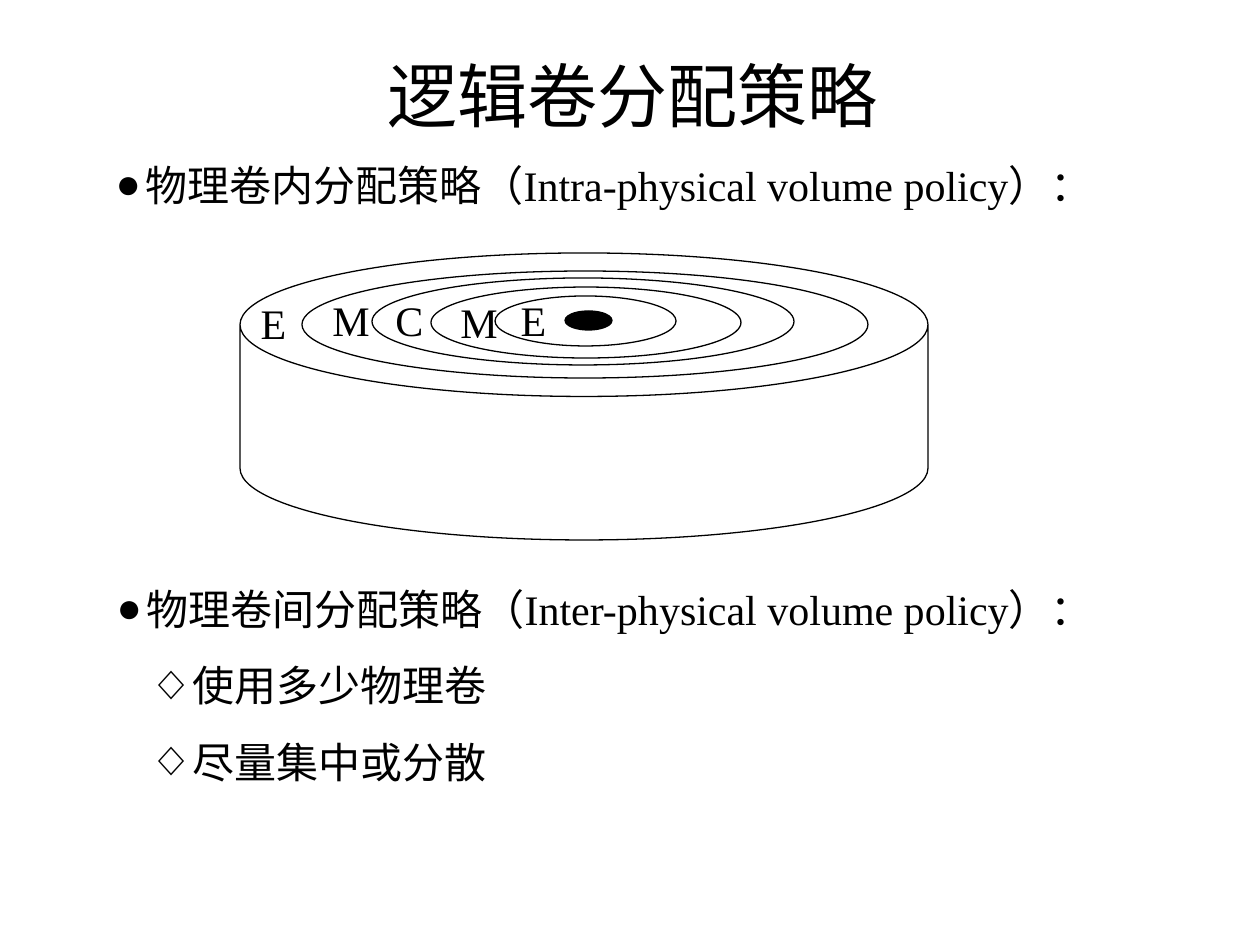
"""Build a slide on logical volume allocation policies."""
from lxml.etree import SubElement
from pptx import Presentation
from pptx.dml.color import RGBColor
from pptx.enum.shapes import MSO_SHAPE as Shape
from pptx.enum.text import MSO_ANCHOR as Anchor, MSO_AUTO_SIZE as AutoSize, PP_ALIGN as Align
from pptx.oxml.ns import qn
from pptx.util import Emu, Inches, Pt

BLACK = RGBColor(0, 0, 0)
WHITE = RGBColor(255, 255, 255)
FONT = "Times New Roman"
PX_PER_INCH = 126
BULLETS = [("●", 30, 30), ("◇", 69, 35)]
LIST_RIGHT_MARGIN = 50

INTRA_POLICY = [("物理卷内分配策略（Intra-physical volume policy）：", 0)]
INTER_POLICY = [
    ("物理卷间分配策略（Inter-physical volume policy）：", 0),
    ("使用多少物理卷", 1),
    ("尽量集中或分散", 1),
]
DISK = (240, 253, 688, 287)
HUB = (565, 311, 47, 19)
RINGS = [
    (302, 271, 566, 107),
    (372, 278, 422, 87),
    (431, 287, 310, 71),
    (495, 296, 181, 50),
]
REGIONS = [("E", 248, 291), ("M", 320, 288), ("C", 383, 288), ("M", 448, 290), ("E", 508, 288)]


def px(length):
    return Emu(round(length * Inches(1) / PX_PER_INCH))


def place(shape, box):
    shape.left, shape.top, shape.width, shape.height = map(px, box)


def style_text(paragraph, size):
    font = paragraph.font
    font.name, font.size, font.color.rgb = FONT, Pt(size), BLACK


def set_title(title, text, box):
    place(title, box)
    frame = title.text_frame
    frame.text = text
    frame.auto_size = AutoSize.NONE
    frame.vertical_anchor = Anchor.MIDDLE
    paragraph = frame.paragraphs[0]
    paragraph.alignment = Align.CENTER
    style_text(paragraph, 40)


def add_bullet(paragraph, level):
    mark, margin, hang = BULLETS[level]
    properties = paragraph._p.get_or_add_pPr()
    properties.set("marL", str(px(margin)))
    properties.set("indent", str(-px(hang)))
    SubElement(properties, qn("a:buFont"), typeface=FONT)
    SubElement(properties, qn("a:buChar"), char=mark)


def set_list(body, items, box):
    place(body, box)
    frame = body.text_frame
    frame.auto_size = AutoSize.NONE
    frame.margin_right = px(LIST_RIGHT_MARGIN)
    frame.text = "\n".join(text for text, _ in items)
    for index, (paragraph, (_, level)) in enumerate(zip(frame.paragraphs, items)):
        paragraph.level = level
        add_bullet(paragraph, level)
        paragraph.space_before = Pt(15 if index else 0)
        style_text(paragraph, 24)


def add_outline(slide, kind, box, fill=None):
    shape = slide.shapes.add_shape(kind, *map(px, box))
    shape.shadow.inherit = False
    if fill is None:
        shape.fill.background()
    else:
        shape.fill.solid()
        shape.fill.fore_color.rgb = fill
    shape.line.color.rgb = BLACK
    shape.line.width = Pt(0.75)
    return shape


def add_region_label(slide, text, left, top):
    frame = slide.shapes.add_textbox(*map(px, (left, top, 51, 63))).text_frame
    frame.word_wrap = True
    frame.text = text
    paragraph = frame.paragraphs[0]
    paragraph.alignment = Align.CENTER
    style_text(paragraph, 24)


def main():
    deck = Presentation()
    deck.slide_width, deck.slide_height = Inches(10), Inches(7.5)
    slide = deck.slides.add_slide(deck.slide_layouts[3])
    title, intra, inter = list(slide.placeholders)[:3]

    set_title(title, "逻辑卷分配策略", (97, 45, 1071, 100))
    set_list(intra, INTRA_POLICY, (103, 153, 1012, 63))
    set_list(inter, INTER_POLICY, (104, 577, 1012, 217))

    disk = add_outline(slide, Shape.CAN, DISK, WHITE)
    disk.adjustments[0] = 0.5
    for ring in RINGS:
        add_outline(slide, Shape.OVAL, ring)
    add_outline(slide, Shape.OVAL, HUB, BLACK)
    for region in REGIONS:
        add_region_label(slide, *region)

    deck.save("out.pptx")


if __name__ == "__main__":
    main()
